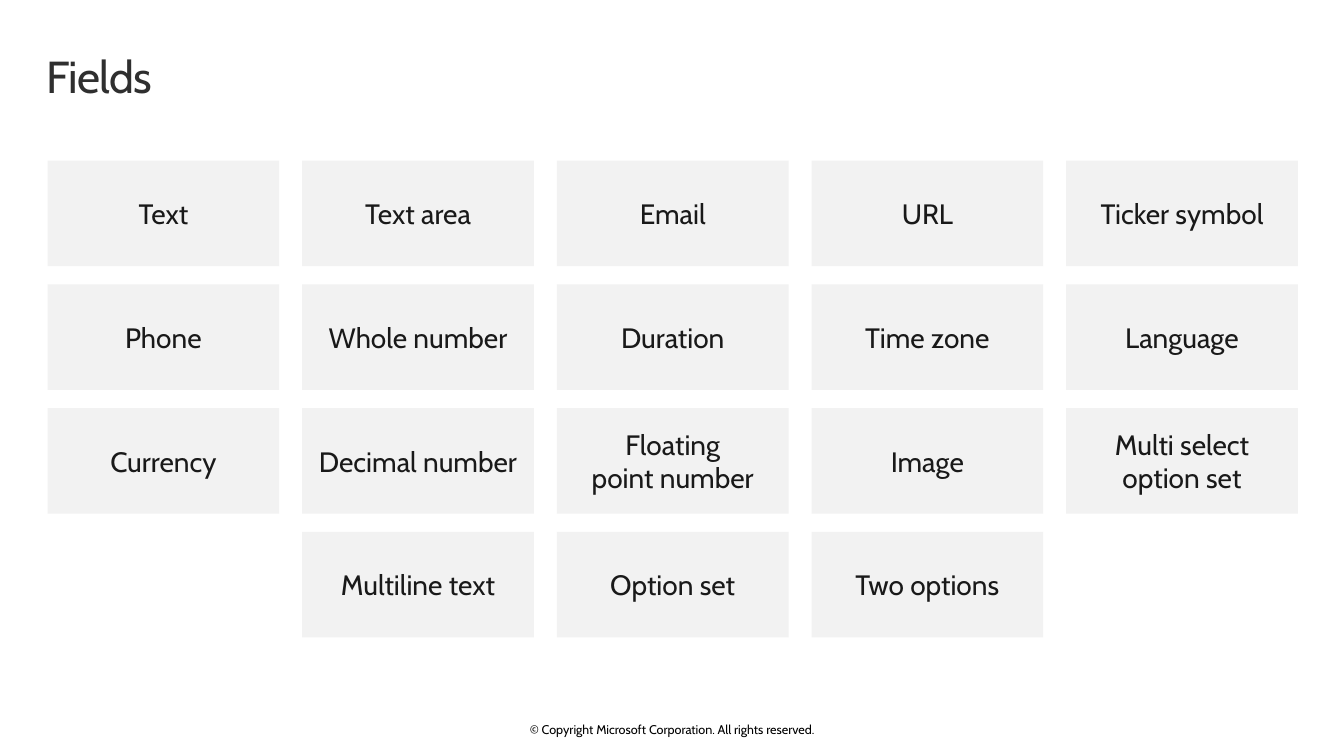
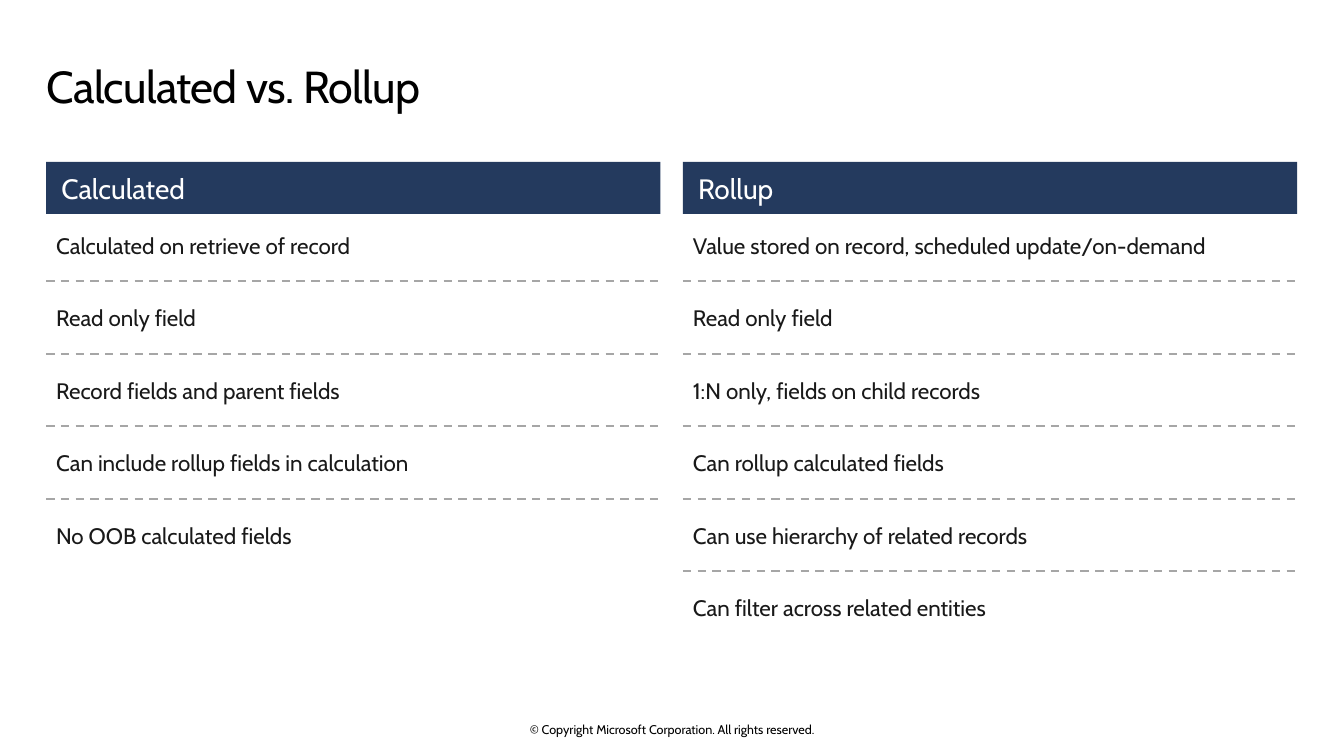
from dataclasses import dataclass

from lxml import etree
from pptx import Presentation
from pptx.dml.color import RGBColor as Color
from pptx.enum.dml import MSO_LINE_DASH_STYLE as Dash
from pptx.enum.shapes import MSO_CONNECTOR as Connector, MSO_SHAPE as Shape
from pptx.enum.text import MSO_ANCHOR as Anchor, MSO_AUTO_SIZE as AutoSize, PP_ALIGN as Align
from pptx.oxml.ns import qn
from pptx.util import Pt


@dataclass(frozen=True)
class Theme:
    font: str = "Cabin"
    black: Color = Color(0x00, 0x00, 0x00)
    white: Color = Color(0xFF, 0xFF, 0xFF)
    heading: Color = Color(0x2F, 0x2F, 0x2F)
    ink: Color = Color(0x19, 0x19, 0x19)
    tile: Color = Color(0xF2, 0xF2, 0xF2)
    navy: Color = Color(0x24, 0x3A, 0x5E)
    rule: Color = Color(0xA6, 0xA6, 0xA6)
    title_size: float = 32
    large_size: float = 20
    row_size: float = 16
    footer_size: float = 9


theme = Theme()


def write(box, text, *, size, color=theme.ink, align=Align.LEFT, anchor=Anchor.MIDDLE,
          insets=(7.2, 3.6, 7.2, 3.6), tracking=None):
    """Fill a shape with one formatted paragraph; insets run left, top, right, bottom."""
    frame = box.text_frame
    frame.word_wrap = True
    frame.auto_size = AutoSize.NONE
    frame.vertical_anchor = anchor
    frame.margin_left, frame.margin_top, frame.margin_right, frame.margin_bottom = map(Pt, insets)
    para = frame.paragraphs[0]
    para.text = text
    para.alignment = align
    for span in para.runs:
        span.font.name = theme.font
        span.font.size = Pt(size)
        span.font.color.rgb = color
        if tracking is not None:
            span._r.get_or_add_rPr().set("spc", str(round(tracking * 100)))


def add_panel(page, left, top, width, height, fill):
    """Add a plain filled rectangle."""
    panel = page.shapes.add_shape(Shape.RECTANGLE, Pt(left), Pt(top), Pt(width), Pt(height))
    panel.shadow.inherit = False
    panel.fill.solid()
    panel.fill.fore_color.rgb = fill
    panel.line.fill.background()
    return panel


deck = Presentation()
deck.slide_width, deck.slide_height = Pt(960), Pt(540)
title_only = deck.slide_layouts[5]

# Titles and footers
pages = []
for text, color, height, insets in [
    ("Fields", theme.heading, 39, (0, 0, 0, 0)),
    ("Calculated vs. Rollup", theme.black, 53, (0, 7.2, 11.5, 7.2)),
]:
    page = deck.slides.add_slide(title_only)
    title = page.shapes.title
    title.left, title.top, title.width, title.height = Pt(33.2), Pt(34.6), Pt(893), Pt(height)
    write(title, text, size=theme.title_size, color=color, anchor=Anchor.TOP,
          insets=insets, tracking=-0.5)
    footer = page.shapes.add_textbox(Pt(318), Pt(515.6), Pt(324), Pt(10.8))
    write(footer, "© Copyright Microsoft Corporation. All rights reserved.",
          size=theme.footer_size, color=theme.black, align=Align.CENTER, insets=(0, 0, 0, 0))
    pages.append(page)
fields_page, comparison_page = pages

# Grid of field types; None leaves a cell empty
field_rows = [
    ["Text", "Text area", "Email", "URL", "Ticker symbol"],
    ["Phone", "Whole number", "Duration", "Time zone", "Language"],
    ["Currency", "Decimal number", "Floating\npoint number", "Image", "Multi select option set"],
    [None, "Multiline text", "Option set", "Two options", None],
]
for row, names in enumerate(field_rows):
    for column, name in enumerate(names):
        if name:
            tile = add_panel(fields_page, 34 + 181.9 * column, 114.8 + 88.4 * row,
                             165.5, 75.4, theme.tile)
            write(tile, name, size=theme.large_size, align=Align.CENTER, insets=(7.2,) * 4)

# Two comparison columns with dashed rules between the rows
comparison = {
    "Calculated": [
        "Calculated on retrieve of record",
        "Read only field",
        "Record fields and parent fields",
        "Can include rollup fields in calculation",
        "No OOB calculated fields",
    ],
    "Rollup": [
        "Value stored on record, scheduled update/on-demand",
        "Read only field",
        "1:N only, fields on child records",
        "Can rollup calculated fields",
        "Can use hierarchy of related records",
        "Can filter across related entities",
    ],
}
column_width, row_height, row_pitch = 438.8, 39, 51.8
for column, (heading, points) in enumerate(comparison.items()):
    left = 33 + 454.8 * column
    header = add_panel(comparison_page, left, 115.7, column_width, 37.2, theme.navy)
    write(header, heading, size=theme.large_size, color=theme.white,
          insets=(10.8, 5.8, 10.8, 5.8))
    for row, point in enumerate(points):
        top = 155.6 + row_pitch * row
        if row:
            rule_top = top - 6.5
            rule = comparison_page.shapes.add_connector(
                Connector.STRAIGHT, Pt(left), Pt(rule_top), Pt(left + column_width), Pt(rule_top))
            rule.line.color.rgb = theme.rule
            rule.line.width = Pt(1.5)
            rule.line.dash_style = Dash.DASH
            etree.SubElement(rule._element.spPr, qn("a:effectLst"))
        box = comparison_page.shapes.add_textbox(Pt(left), Pt(top), Pt(column_width), Pt(row_height))
        write(box, point, size=theme.row_size)

deck.save("out.pptx")
